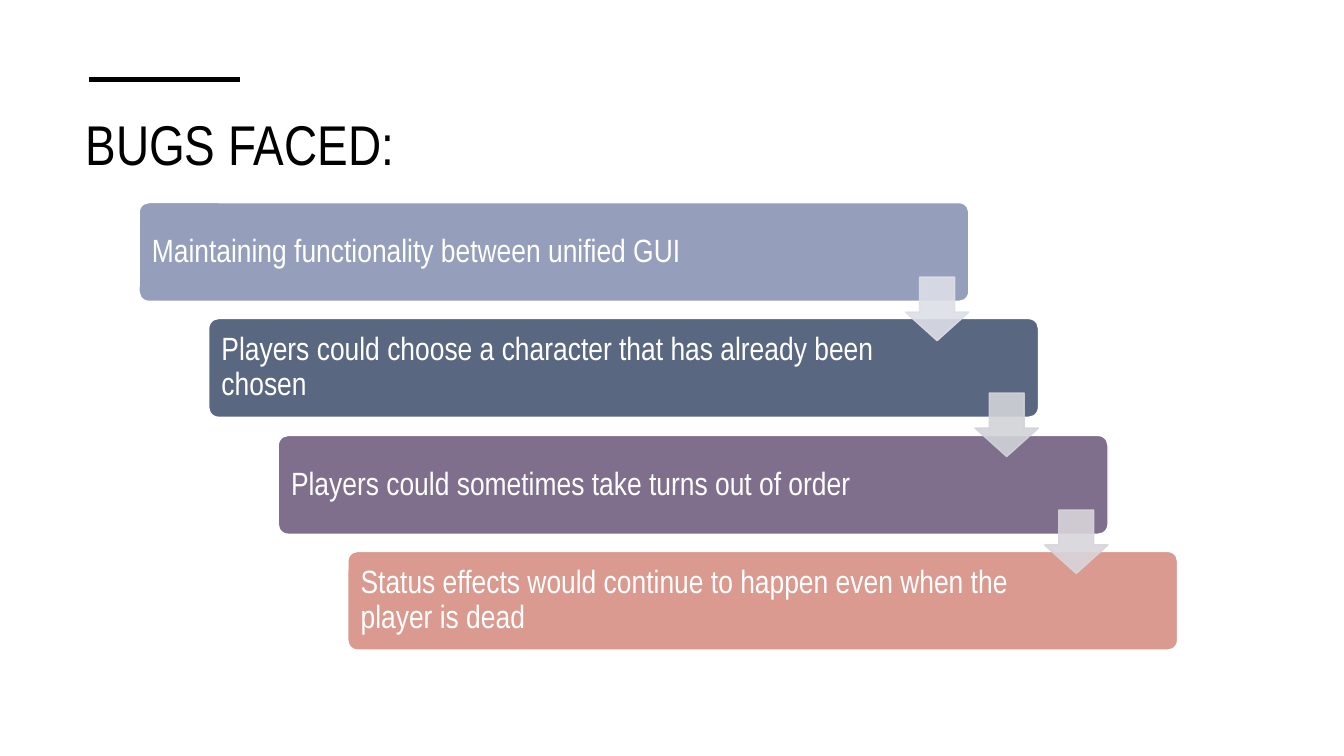
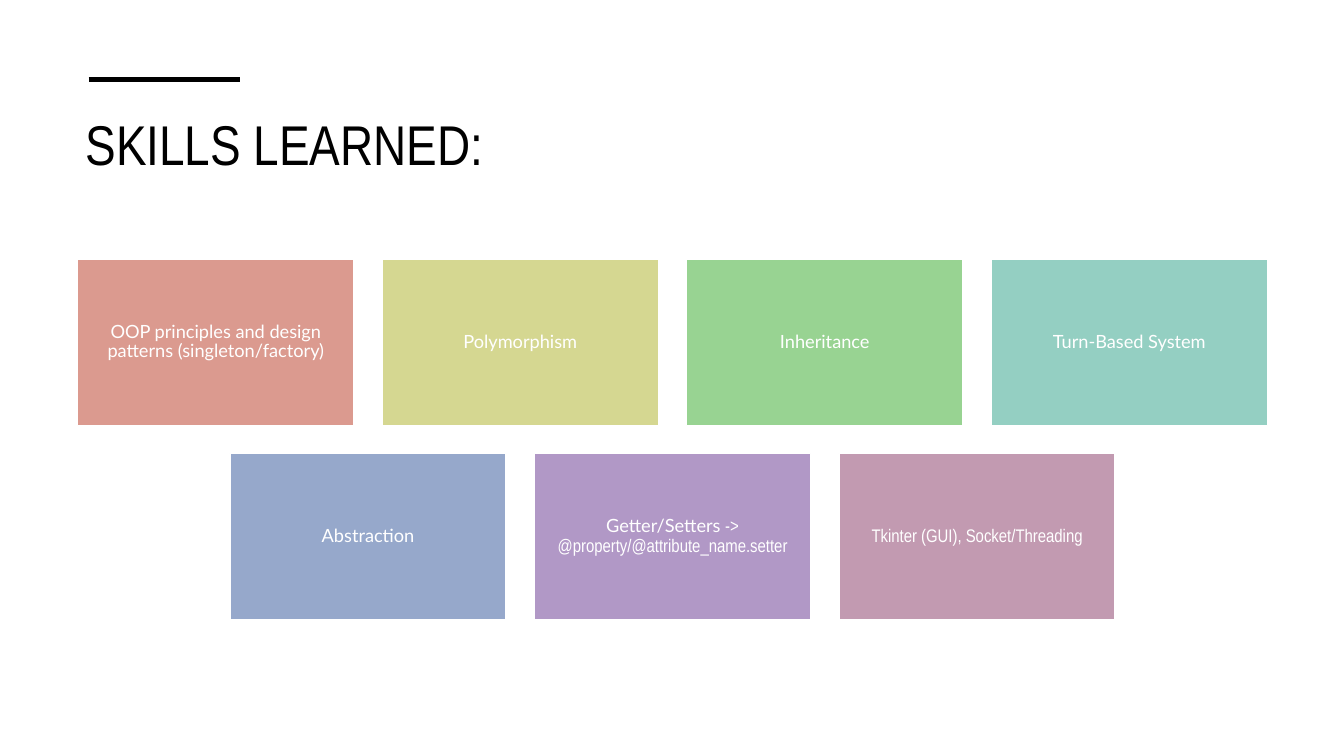
import pptx
import pptx.util
import pptx.dml.color
import pptx.enum.shapes
import pptx.enum.text
import pptx.oxml
import pptx.oxml.ns
from lxml import etree

PX = 9144  # 100 px to the inch
PAGE_WIDTH, PAGE_HEIGHT = 1333, 750
BLACK, WHITE = "000000", "FFFFFF"
NARROW, LATO = "Arial Narrow", "Lato"

STEPS = [
    # text, bar colour, colour of the arrow to the next bar
    ("Maintaining functionality between unified GUI", "959EBB", "DDDFE7"),
    ("Players could choose a character that has already been chosen", "596781", "D1D3D8"),
    ("Players could sometimes take turns out of order", "7F6E8C", "D8D5DA"),
    ("Status effects would continue to happen even when the player is dead", "DB9A8F", None),
]
SKILL_ROWS = [
    # each tile: colour, then its runs as (text, font)
    [
        ("DB9A8F", [("OOP principles and design patterns (singleton/factory)", LATO)]),
        ("D5D791", [("Polymorphism", LATO)]),
        ("98D392", [("Inheritance", LATO)]),
        ("94CFC2", [("Turn-Based System", LATO)]),
    ],
    [
        ("96A8CB", [("Abstraction", LATO)]),
        ("B198C6", [("Getter/Setters ", LATO), ("-> @property/@attribute_name.setter", NARROW)]),
        ("C29AB1", [("Tkinter (GUI), Socket/Threading", NARROW)]),
    ],
]

SHAPE = pptx.enum.shapes.MSO_SHAPE
ALIGN = pptx.enum.text.PP_ALIGN
MIDDLE = pptx.enum.text.MSO_ANCHOR.MIDDLE
color = pptx.dml.color.RGBColor.from_string
qn = pptx.oxml.ns.qn


def add_block(page, kind, box, fill, line):
    """Add a filled preset shape with a thin outline and no shadow."""
    block = page.shapes.add_shape(kind, *[n * PX for n in box])
    block.shadow.inherit = False
    block.fill.solid()
    block.fill.fore_color.rgb = color(fill)
    block.line.color.rgb = color(line)
    block.line.width = pptx.util.Pt(1)
    return block


def write(shape, runs, size, ink, align, insets):
    """Fill a shape with one vertically centred paragraph of (text, font) runs."""
    frame = shape.text_frame
    frame.word_wrap = True
    frame.vertical_anchor = MIDDLE
    frame.margin_left, frame.margin_top, frame.margin_right, frame.margin_bottom = [
        n * PX for n in insets]
    para = frame.paragraphs[0]
    para.alignment = align
    para.line_spacing = 0.9
    para.font.size = pptx.util.Pt(size)
    para.font.color.rgb = color(ink)
    for text, font in runs:
        span = para.add_run()
        span.text = text
        span.font.name = font
        span.font.size = pptx.util.Pt(size)
        span.font.color.rgb = color(ink)
    return para


deck = pptx.Presentation()
deck.slide_width, deck.slide_height = PAGE_WIDTH * PX, PAGE_HEIGHT * PX

# Title and rule on every page
pages = []
for title in ("BUGS FACED:", "SKILLS LEARNED:"):
    page = deck.slides.add_slide(deck.slide_layouts[6])
    pages.append(page)
    rule = page.shapes.add_connector(
        pptx.enum.shapes.MSO_CONNECTOR.STRAIGHT, 88 * PX, 79 * PX, 238 * PX, 79 * PX)
    rule.line.color.rgb = color(BLACK)
    rule.line.width = pptx.util.Pt(3.5)
    etree.SubElement(rule.element.spPr, qn("a:effectLst"))
    box = page.shapes.add_textbox(75 * PX, 98 * PX, 700 * PX, 88 * PX)
    para = write(box, [(title, NARROW)], 40, BLACK, ALIGN.LEFT, (10, 5, 10, 5))
    para.line_spacing = 1.0
    para.runs[0].font.element.set("spc", "30") if hasattr(para.runs[0].font, "element") else None

bugs_page, skills_page = pages

# Staircase of bugs: all bars first, so that the arrows lie on top
BAR_WIDTH, BAR_HEIGHT, ARROW = 823, 98, 63
corners = [(138 + 69 * i, 201 + round(115.33 * i)) for i in range(len(STEPS))]
for (left, top), (text, fill, _) in zip(corners, STEPS):
    bar = add_block(bugs_page, SHAPE.ROUNDED_RECTANGLE,
                    (left, top, BAR_WIDTH, BAR_HEIGHT), fill, WHITE)
    bar.adjustments[0] = 0.1
    write(bar, [(text, NARROW)], 23, WHITE, ALIGN.LEFT, (10, 10, 142, 10))

for (left, top), (_, _, tint) in zip(corners[:-1], STEPS):
    arrow = add_block(bugs_page, SHAPE.DOWN_ARROW,
                      (left + BAR_WIDTH - ARROW, top + 74, ARROW, ARROW), tint, tint)
    arrow.adjustments[0], arrow.adjustments[1] = 0.55, 0.45
    for paint in arrow.element.spPr.iter(qn("a:srgbClr")):
        etree.SubElement(paint, qn("a:alpha")).set("val", "90000")

# Rows of skill tiles, each centred on the page
TILE_WIDTH, TILE_HEIGHT, GAP = 274, 165, 28
for row, tiles in enumerate(SKILL_ROWS):
    row_width = len(tiles) * (TILE_WIDTH + GAP) - GAP
    first_left = (PAGE_WIDTH - row_width + 1) // 2
    top = 257 + row * (TILE_HEIGHT + GAP)
    for column, (fill, runs) in enumerate(tiles):
        left = first_left + column * (TILE_WIDTH + GAP)
        tile = add_block(skills_page, SHAPE.RECTANGLE,
                         (left, top, TILE_WIDTH, TILE_HEIGHT), fill, WHITE)
        write(tile, runs, 13, WHITE, ALIGN.CENTER, (5, 5, 5, 5))

deck.save("out.pptx")
